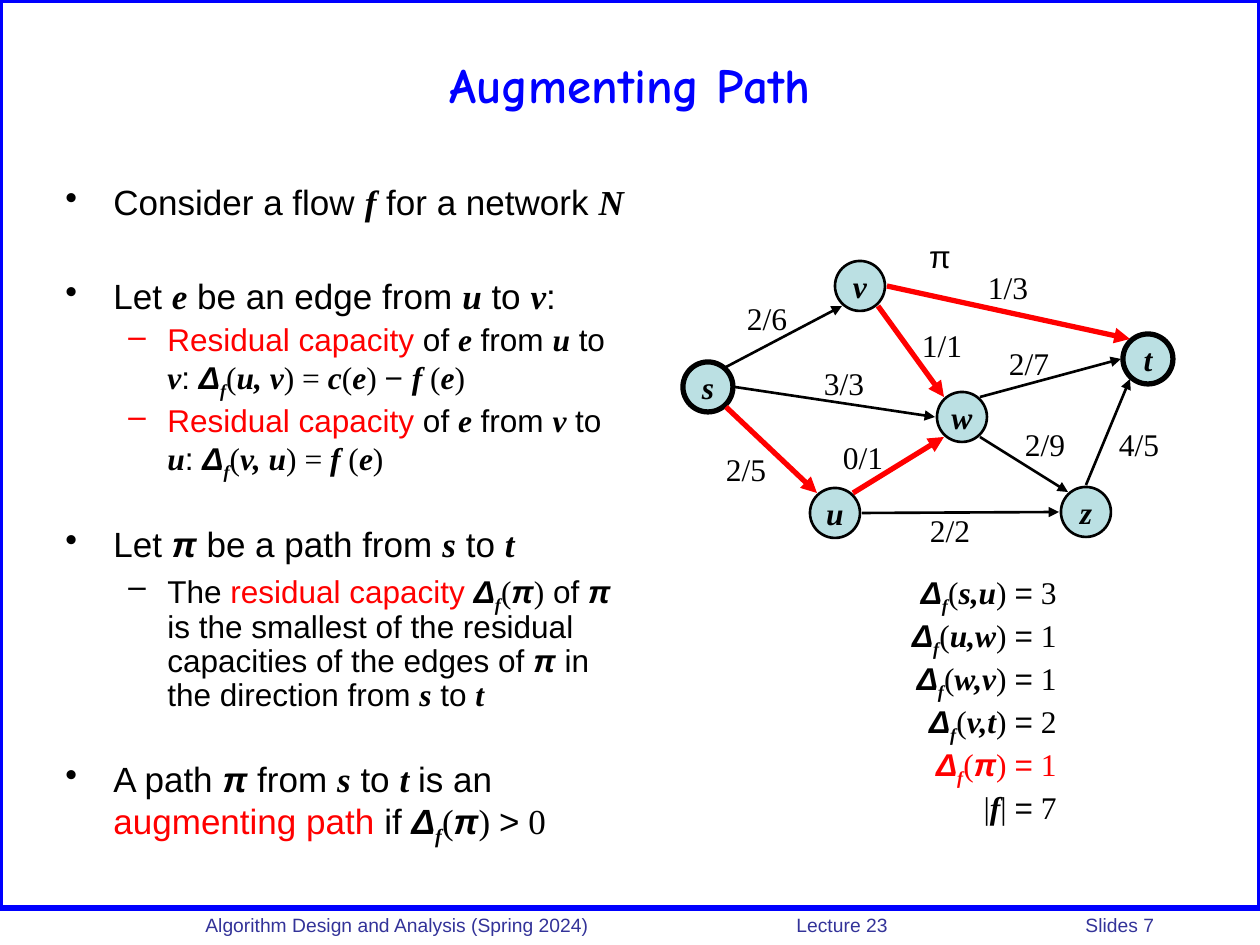
"""Build the slide on augmenting paths in a flow network."""
from lxml.etree import SubElement
from pptx import Presentation
from pptx.dml.color import RGBColor
from pptx.enum.shapes import MSO_CONNECTOR as Connector, MSO_SHAPE as Preset
from pptx.enum.text import MSO_ANCHOR as Anchor, PP_ALIGN as Align
from pptx.oxml.ns import qn
from pptx.util import Emu, Pt

SCALE = 914400 / 126
COLORS = {"black": "000000", "red": "FF0000", "blue": "0000FF",
          "navy": "333399", "node": "BBE0E3"}
SANS, SERIF = "Arial", "Times New Roman"
STYLES = {
    "a": {"name": SANS},
    "r": {"name": SANS, "color": "red"},
    "g": {"name": SANS, "bold": True, "italic": True},
    "t": {"name": SERIF},
    "m": {"name": SERIF, "bold": True, "italic": True},
    "s": {"name": SERIF, "bold": True, "italic": True, "baseline": -25000},
    "h": {"name": "Comic Neue", "bold": True},
}
DELTA = "gΔ~sf~t("
BULLETS = {
    "•": {"size": 20, "margin": 48, "hanging": 48},
    "–": {"size": 18, "margin": 102, "hanging": 39},
}
BODY = [
    ("•", "black", 0, "aConsider a flow ~mf~a for a network ~mN"),
    ("•", "black", 32, "aLet ~me~a be an edge from ~mu~a to ~mv~a:"),
    ("–", "red", 4.5, "rResidual capacity ~aof ~me~a from ~mu~a to ~mv~a: ~"
     + DELTA + "~mu, v~t) = ~mc~t(~me~t) ~a− ~mf~t (~me~t)"),
    ("–", "red", 4.5, "rResidual capacity ~aof ~me~a from ~mv~a to ~mu~a: ~"
     + DELTA + "~mv, u~t) = ~mf~t (~me~t)"),
    ("•", "black", 28, "aLet ~gπ~a be a path from ~ms~a to ~mt"),
    ("–", "black", 4.5, "aThe ~rresidual capacity ~" + DELTA
     + "~gπ~t)~a of ~gπ ~ais the smallest of the residual capacities of the edges of "
     "~gπ~a in the direction from ~ms~a to ~mt"),
    ("•", "black", 28, "aA path ~gπ~a from ~ms~a to ~mt ~ais an ~raugmenting path ~aif ~"
     + DELTA + "~gπ~t) ~a>~t 0"),
]
RESIDUALS = [("ms,u", 3, "black"), ("mu,w", 1, "black"), ("mw,v", 1, "black"),
             ("mv,t", 2, "black"), ("gπ", 1, "red")]
NODES = {"w": (962, 417, 1.5), "s": (708, 387, 3), "v": (860, 286, 1.5),
         "u": (835, 513, 1.5), "t": (1148, 359, 3), "z": (1086, 512, 1.5)}
SIDES = {"N": (0, -27), "E": (27, 0), "W": (-27, 0), "NE": (18, -20),
         "NW": (-18, -20), "SE": (18, 20), "SW": (-18, 20)}
EDGES = [
    ("s", "NE", "v", "SW", "black", "2/6", 767, 318),
    ("s", "SE", "u", "NW", "red", "2/5", 746, 469),
    ("s", "E", "w", "W", "black", "3/3", 844, 383),
    ("v", "SE", "w", "NW", "red", "1/1", 942, 345),
    ("v", "E", "t", "NW", "red", "1/3", 1008, 287),
    ("w", "NE", "t", "W", "black", "2/7", 1029, 363),
    ("w", "SE", "z", "NW", "black", "2/9", 1045, 444),
    ("z", "N", "t", "SW", "black", "4/5", 1139, 444),
    ("u", "E", "z", "W", "black", "2/2", 950, 530),
    ("u", "NE", "w", "SW", "red", "0/1", 863, 457),
]


def px(*lengths):
    """Turn pixel lengths into EMU."""
    return [Emu(round(length * SCALE)) for length in lengths]


def rgb(color):
    """Look up a named colour."""
    return RGBColor.from_string(COLORS[color])


def write(paragraph, markup, size, color="black", align=Align.LEFT):
    """Add one run for each part of the markup, whose first letter is its style."""
    paragraph.alignment = align
    for part in markup.split("~"):
        run = paragraph.add_run()
        run.text = part[1:]
        style = {"size": Pt(size), "bold": False, "italic": False, **STYLES[part[0]]}
        run.font.color.rgb = rgb(style.pop("color", color))
        baseline = style.pop("baseline", None)
        if baseline:
            run.font._element.set("baseline", str(baseline))
        for attribute, value in style.items():
            setattr(run.font, attribute, value)


def add_text(slide, box, wrap=True, anchor=Anchor.TOP):
    """Add a text box and return its frame."""
    frame = slide.shapes.add_textbox(*px(*box)).text_frame
    frame.word_wrap, frame.vertical_anchor = wrap, anchor
    return frame


def add_label(slide, markup, x, y):
    """Add a small label centred on a point."""
    frame = add_text(slide, (x - 33, y - 25, 66, 50), wrap=False)
    write(frame.paragraphs[0], markup, 18, align=Align.CENTER)


def add_preset(slide, preset, box, line, width, fill=None):
    """Add an outlined preset shape without shadow."""
    shape = slide.shapes.add_shape(preset, *px(*box))
    shape.shadow.inherit = False
    shape.line.color.rgb, shape.line.width = rgb(line), Pt(width)
    if fill:
        shape.fill.solid()
        shape.fill.fore_color.rgb = rgb(fill)
    else:
        shape.fill.background()
    return shape


def add_node(slide, name, x, y, width):
    """Add a round vertex with its name."""
    shape = add_preset(slide, Preset.OVAL, (x - 25, y - 25, 50, 50), "black", width, "node")
    frame = shape.text_frame
    frame.word_wrap, frame.vertical_anchor = False, Anchor.MIDDLE
    write(frame.paragraphs[0], "m" + name, 18, align=Align.CENTER)


def add_edge(slide, source, source_side, target, target_side, color):
    """Add an arrow between the given sides of two vertices."""
    ends = []
    for name, side in ((source, source_side), (target, target_side)):
        ends += [center + offset for center, offset in zip(NODES[name], SIDES[side])]
    connector = slide.shapes.add_connector(Connector.STRAIGHT, *px(*ends))
    connector.line.color.rgb = rgb(color)
    connector.line.width = Pt(3 if color == "red" else 1.5)
    SubElement(connector.line._get_or_add_ln(), qn("a:tailEnd"), type="triangle")
    SubElement(connector._element.spPr, qn("a:effectLst"))


def add_body(slide):
    """Add the bulleted explanation."""
    frame = add_text(slide, (53, 179, 588, 703))
    for index, (bullet, color, space, markup) in enumerate(BODY):
        paragraph = frame.add_paragraph() if index else frame.paragraphs[0]
        level = BULLETS[bullet]
        paragraph.level = 1 if bullet == "–" else 0
        paragraph.line_spacing, paragraph.space_before = 0.9, Pt(space)
        properties = paragraph._p.get_or_add_pPr()
        margin, hanging = px(level["margin"], level["hanging"])
        properties.set("marL", str(margin))
        properties.set("indent", str(-hanging))
        bullet_color = SubElement(properties, qn("a:buClr"))
        SubElement(bullet_color, qn("a:srgbClr"), val=COLORS[color])
        SubElement(properties, qn("a:buChar"), char=bullet)
        write(paragraph, markup, level["size"])


def add_residuals(slide):
    """Add the right-aligned residual capacities and the flow value."""
    frame = add_text(slide, (895, 567, 174, 266), wrap=False)
    rows = [(f"{DELTA}~{path}~t) ~a=~t {value}", color) for path, value, color in RESIDUALS]
    rows.append(("t|~mf~t| ~a=~t 7", "black"))
    for index, (markup, color) in enumerate(rows):
        paragraph = frame.add_paragraph() if index else frame.paragraphs[0]
        write(paragraph, markup, 18, color, Align.RIGHT)


def add_footer(slide):
    """Add the footer line with its tab stops."""
    paragraph = add_text(slide, (193, 907, 1067, 33)).paragraphs[0]
    tabs = SubElement(paragraph._p.get_or_add_pPr(), qn("a:tabLst"))
    for position in px(591, 880):
        SubElement(tabs, qn("a:tab"), pos=str(position), algn="l")
    write(paragraph, "aAlgorithm Design and Analysis (Spring 2024)\tLecture 23\tSlides 7",
          11, "navy")


def main():
    """Build and save the presentation."""
    presentation = Presentation()
    presentation.slide_width, presentation.slide_height = px(1260, 945)
    slide = presentation.slides.add_slide(presentation.slide_layouts[6])
    add_preset(slide, Preset.RECTANGLE, (0, 0, 1260, 908), "blue", 3)
    add_footer(slide)
    title = add_text(slide, (63, 21, 1134, 126), anchor=Anchor.MIDDLE)
    write(title.paragraphs[0], "hAugmenting Path", 28, "blue", Align.CENTER)
    add_body(slide)
    for name, node in NODES.items():
        add_node(slide, name, *node)
    for *edge, flow, x, y in EDGES:
        add_edge(slide, *edge)
        add_label(slide, "t" + flow, x, y)
    add_label(slide, "aπ", 940, 256)
    add_residuals(slide)
    presentation.save("out.pptx")


if __name__ == "__main__":
    main()
